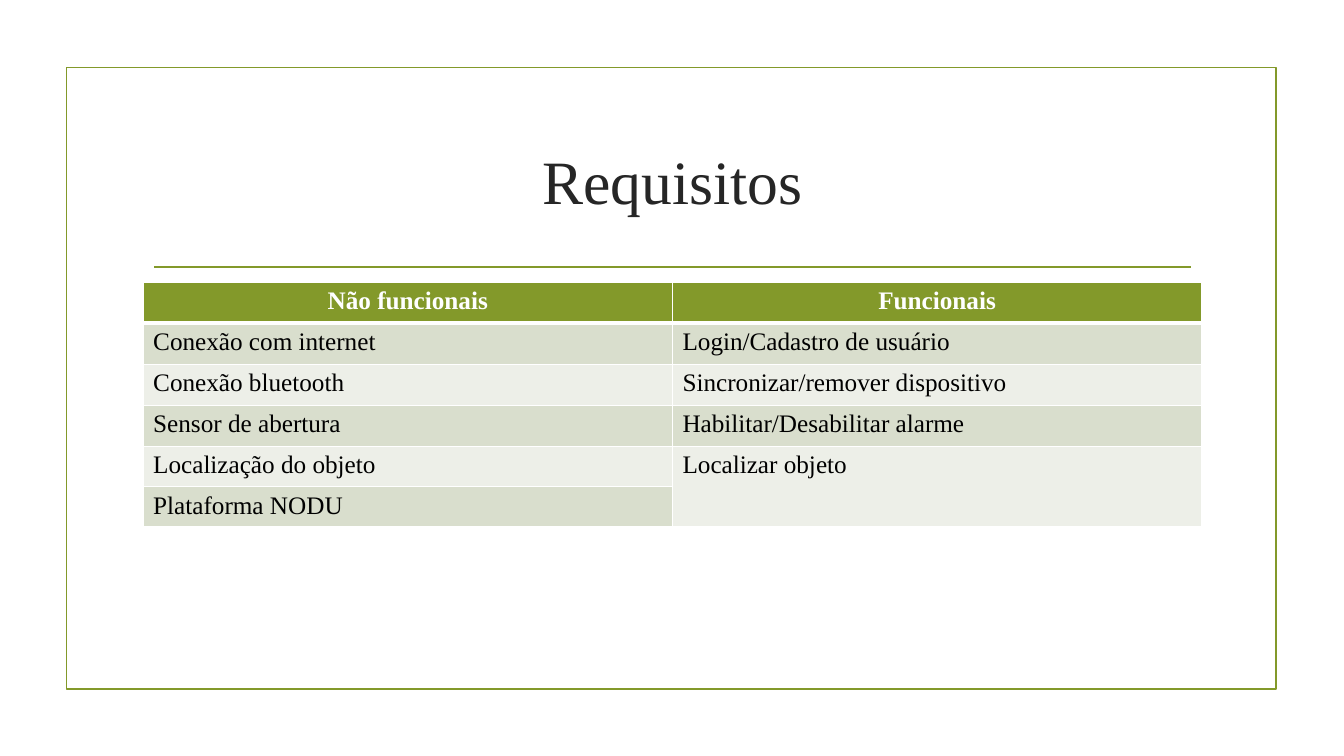
"""Build the slide of functional and non-functional requirements."""
from dataclasses import dataclass

from lxml import etree
from pptx import Presentation
from pptx.dml.color import RGBColor
from pptx.enum.shapes import MSO_CONNECTOR, MSO_SHAPE
from pptx.enum.text import MSO_ANCHOR, PP_ALIGN
from pptx.oxml.ns import qn
from pptx.util import Inches, Pt

WIDE, HIGH = Inches(13.33), Inches(7.5)
FONT = "Times New Roman"
GREEN = RGBColor(0x83, 0x99, 0x2A)
SAGE = RGBColor(0xD9, 0xDE, 0xCD)
MIST = RGBColor(0xED, 0xEF, 0xE8)
INK = RGBColor(0x26, 0x26, 0x26)
BLACK = RGBColor(0, 0, 0)
WHITE = RGBColor(0xFF, 0xFF, 0xFF)
RECT = MSO_SHAPE.RECTANGLE
LINE = MSO_CONNECTOR.STRAIGHT
MIDDLE = MSO_ANCHOR.MIDDLE
LEFT, CENTER = PP_ALIGN.LEFT, PP_ALIGN.CENTER


@dataclass(frozen=True)
class Box:
    left: float
    top: float
    width: float
    height: float

    def place(self) -> tuple[int, int, int, int]:
        return across(self.left), down(self.top), across(self.width), down(self.height)


@dataclass(frozen=True)
class Style:
    size: int
    color: RGBColor
    align: PP_ALIGN
    bold: bool = False


@dataclass(frozen=True)
class Row:
    texts: tuple[str, ...]
    height: float
    fill: RGBColor
    style: Style
    above: float = 1
    below: float = 1


FRAME = Box(4.95, 8.93, 90, 82.27)
TITLE = Box(10.65, 14.27, 78.77, 19.07)
GRID = Box(10.65, 37.33, 78.77, 32)
RULE = Box(11.48, 35.33, 77.12, 0)
HEAD = Style(18, WHITE, CENTER, True)
BODY = Style(18, BLACK, LEFT)
TALL, SHORT = 5.43, 5.03
ROWS = (
    Row(("Não funcionais", "Funcionais"), TALL, GREEN, HEAD, below=3),
    Row(("Conexão com internet", "Login/Cadastro de usuário"), TALL, SAGE, BODY, above=3),
    Row(("Conexão bluetooth", "Sincronizar/remover dispositivo"), TALL, MIST, BODY),
    Row(("Sensor de abertura", "Habilitar/Desabilitar alarme"), TALL, SAGE, BODY),
    Row(("Localização do objeto", "Localizar objeto"), SHORT, MIST, BODY),
    Row(("Plataforma NODU", ""), SHORT, SAGE, BODY),
)


def across(share: float) -> int:
    return round(WIDE * share / 100)


def down(share: float) -> int:
    return round(HIGH * share / 100)


def write(frame, text: str, style: Style) -> None:
    para = frame.paragraphs[0]
    para.text = text
    para.alignment = style.align
    font = para.font
    font.name, font.size, font.bold = FONT, Pt(style.size), style.bold
    font.color.rgb = style.color


def edge(cell, side: str, width: float) -> None:
    props = cell._tc.get_or_add_tcPr()
    line = etree.SubElement(props, qn(f"a:ln{side}"), w=str(Pt(width)))
    fill = etree.SubElement(line, qn("a:solidFill"))
    etree.SubElement(fill, qn("a:srgbClr"), val=str(WHITE))


def draw_frame(slide) -> None:
    frame = slide.shapes.add_shape(RECT, *FRAME.place())
    frame.shadow.inherit = False
    frame.fill.background()
    frame.line.color.rgb = GREEN
    frame.line.width = Pt(1.25)


def draw_rule(slide) -> None:
    left, top, width, _ = RULE.place()
    rule = slide.shapes.add_connector(LINE, left, top, left + width, top)
    rule.line.color.rgb = GREEN
    rule.line.width = Pt(1.25)
    etree.SubElement(rule._element.spPr, qn("a:effectLst"))


def draw_title(slide) -> None:
    frame = slide.shapes.add_textbox(*TITLE.place()).text_frame
    frame.word_wrap = True
    frame.vertical_anchor = MIDDLE
    write(frame, "Requisitos", Style(44, INK, CENTER))


def draw_table(slide) -> None:
    cols = len(ROWS[0].texts)
    table = slide.shapes.add_table(len(ROWS), cols, *GRID.place()).table
    table.first_row = table.horz_banding = False
    for col in table.columns:
        col.width = across(GRID.width / cols)
    for y, row in enumerate(ROWS):
        table.rows[y].height = down(row.height)
        for x, text in enumerate(row.texts):
            cell = table.cell(y, x)
            for side, width in zip("LRTB", (1, 1, row.above, row.below)):
                edge(cell, side, width)
            cell.fill.solid()
            cell.fill.fore_color.rgb = row.fill
            write(cell.text_frame, text, row.style)
    table.cell(4, 1).merge(table.cell(5, 1))


def main() -> None:
    deck = Presentation()
    deck.slide_width, deck.slide_height = WIDE, HIGH
    slide = deck.slides.add_slide(deck.slide_layouts[6])
    for draw in (draw_frame, draw_rule, draw_title, draw_table):
        draw(slide)
    deck.save("out.pptx")


if __name__ == "__main__":
    main()
